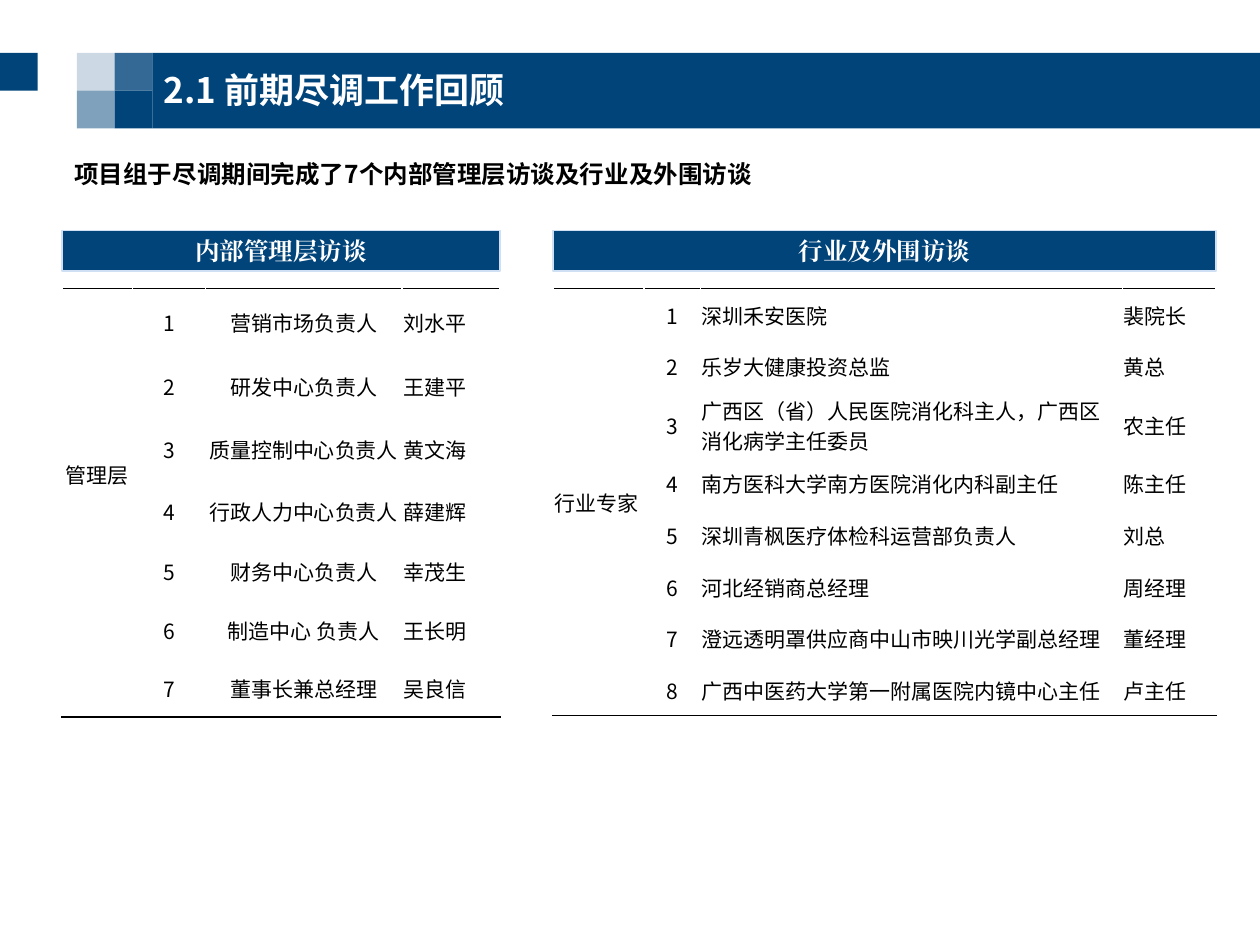
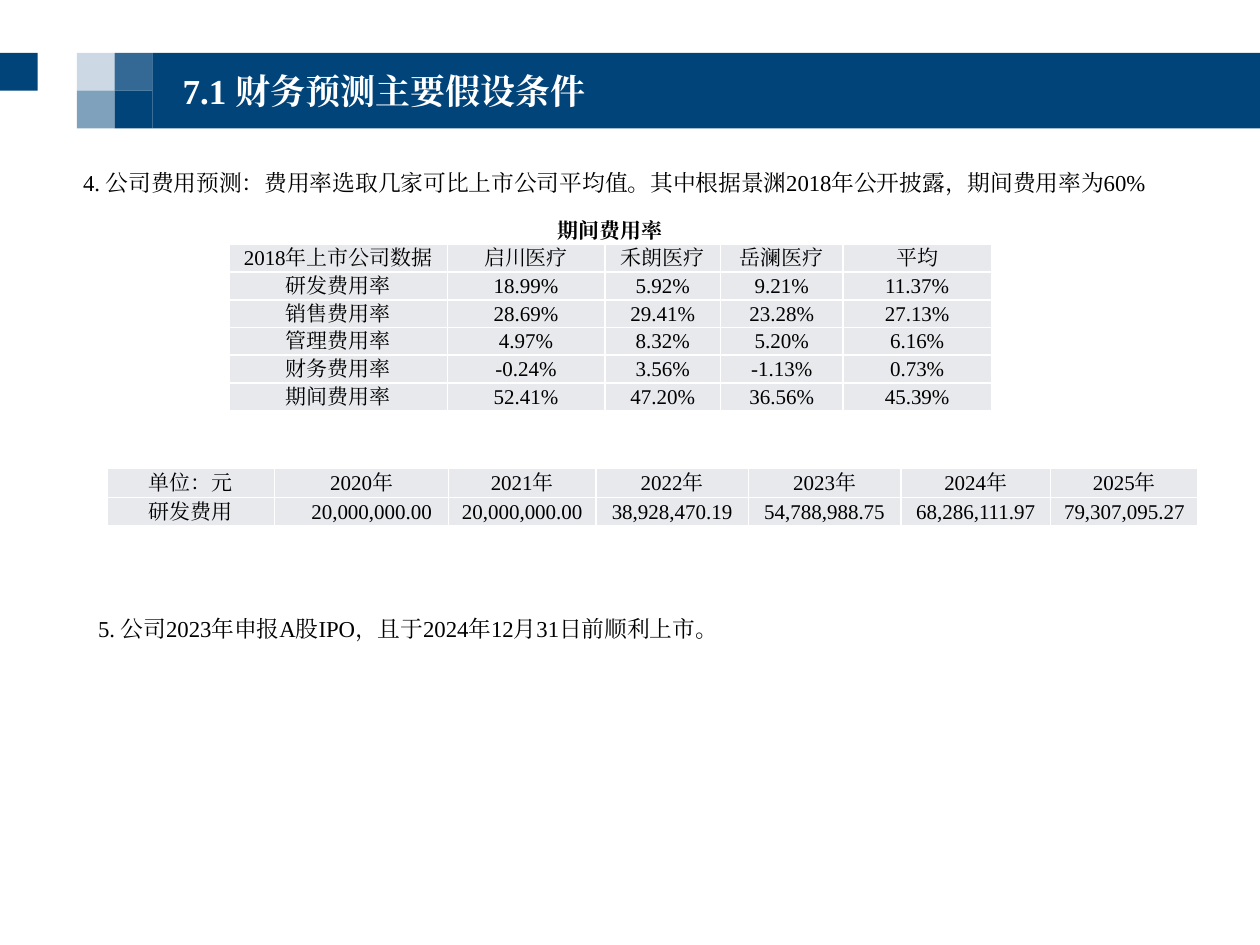
"""Build two due diligence slides: an interview review and forecast assumptions."""
import lxml.etree
import pptx
import pptx.dml.color
import pptx.enum.shapes
import pptx.enum.text
import pptx.oxml.ns
import pptx.util

Inches = pptx.util.Inches
RGBColor = pptx.dml.color.RGBColor
ALIGN = pptx.enum.text.PP_ALIGN
ANCHOR = pptx.enum.text.MSO_ANCHOR
qn = pptx.oxml.ns.qn

NAVY = RGBColor(0x00, 0x44, 0x7A)
PALE_BLUE = RGBColor(0xD0, 0xE0, 0xF4)
GREY = RGBColor(0xE7, 0xE9, 0xEC)
BLACK = RGBColor(0, 0, 0)
WHITE = RGBColor(255, 255, 255)
SANS = "Noto Sans CJK SC"
SERIF = "Times New Roman"

TITLE = {"size": pptx.util.Pt(20), "bold": True}
HEADING = {"size": pptx.util.Pt(14), "bold": True}
NOTE = {"size": pptx.util.Pt(13), "bold": False}
CELL = {"size": pptx.util.Pt(12), "bold": False}
CELL_MARGINS = {"margin_left": Inches(0.01), "margin_right": Inches(0.01),
                "margin_top": Inches(0.01), "margin_bottom": 0,
                "vertical_anchor": ANCHOR.MIDDLE}
ALIGNMENTS = {"l": ALIGN.LEFT, "c": ALIGN.CENTER}

BAND_BLOCKS = [
    (0, 0.42, 0.3, 0.3, 100),
    (0.61, 0.42, 0.3, 0.3, 20),
    (0.61, 0.72, 0.3, 0.3, 50),
    (0.91, 0.42, 0.3, 0.3, 80),
    (0.91, 0.72, 0.3, 0.3, 100),
    (1.21, 0.42, 8.79, 0.6, 100),
]

MANAGERS = [
    ("营销市场负责人", "刘水平"),
    ("研发中心负责人", "王建平"),
    ("质量控制中心负责人", "黄文海"),
    ("行政人力中心负责人", "薛建辉"),
    ("财务中心负责人", "幸茂生"),
    ("制造中心 负责人", "王长明"),
    ("董事长兼总经理", "吴良信"),
]
EXPERTS = [
    ("深圳禾安医院", "裴院长"),
    ("乐岁大健康投资总监", "黄总"),
    ("广西区（省）人民医院消化科主人，广西区消化病学主任委员", "农主任"),
    ("南方医科大学南方医院消化内科副主任", "陈主任"),
    ("深圳青枫医疗体检科运营部负责人", "刘总"),
    ("河北经销商总经理", "周经理"),
    ("澄远透明罩供应商中山市映川光学副总经理", "董经理"),
    ("广西中医药大学第一附属医院内镜中心主任", "卢主任"),
]
EXPENSE_RATES = [
    ("期间费用率", "", "", "", ""),
    ("2018年上市公司数据", "启川医疗", "禾朗医疗", "岳澜医疗", "平均"),
    ("研发费用率", "18.99%", "5.92%", "9.21%", "11.37%"),
    ("销售费用率", "28.69%", "29.41%", "23.28%", "27.13%"),
    ("管理费用率", "4.97%", "8.32%", "5.20%", "6.16%"),
    ("财务费用率", "-0.24%", "3.56%", "-1.13%", "0.73%"),
    ("期间费用率", "52.41%", "47.20%", "36.56%", "45.39%"),
]
RESEARCH_COSTS = [
    ["单位：元"] + [f"{year}年" for year in range(2020, 2026)],
    ["研发费用", "20,000,000.00", "20,000,000.00", "38,928,470.19",
     "54,788,988.75", "68,286,111.97", "79,307,095.27"],
]


def set_values(target, values):
    """Set attributes of an object from a dict."""
    for name, value in values.items():
        setattr(target, name, value)


def place(shape, left, top, width, height):
    """Move and size a shape, in inches."""
    set_values(shape, {"left": Inches(left), "top": Inches(top),
                       "width": Inches(width), "height": Inches(height)})


def write(frame, text, style, font, color=BLACK, align=ALIGN.LEFT):
    """Write one paragraph in one font for Latin and Chinese letters."""
    para = frame.paragraphs[0]
    set_values(para, {"alignment": align, "space_before": 0})
    span = para.add_run()
    span.text = text
    set_values(span.font, {"name": font, **style})
    span.font.color.rgb = color
    east_asian = lxml.etree.SubElement(span.font._element, qn("a:ea"))
    east_asian.set("typeface", font)


def set_frame(frame, side=0.1, edge=0.05):
    """Give a text frame wrapping, top anchoring and margins."""
    set_values(frame, {
        "word_wrap": True, "auto_size": pptx.enum.text.MSO_AUTO_SIZE.NONE,
        "vertical_anchor": ANCHOR.TOP,
        "margin_left": Inches(side), "margin_right": Inches(side),
        "margin_top": Inches(edge), "margin_bottom": Inches(edge)})


def add_block(page, left, top, width, height):
    """Add a navy rectangle without outline or shadow."""
    block = page.shapes.add_shape(
        pptx.enum.shapes.MSO_SHAPE.RECTANGLE,
        Inches(left), Inches(top), Inches(width), Inches(height))
    block.shadow.inherit = False
    block.fill.solid()
    block.fill.fore_color.rgb = NAVY
    block.line.fill.background()
    return block


def add_band_to_layout(page):
    """Build the title band and move it behind everything on the layout."""
    tree = page.slide_layout.shapes._spTree
    for index, (*area, opacity) in enumerate(BAND_BLOCKS):
        block = add_block(page, *area)
        if opacity < 100:
            color = block._element.spPr.find(".//" + qn("a:srgbClr"))
            alpha = lxml.etree.SubElement(color, qn("a:alpha"))
            alpha.set("val", str(opacity * 1000))
        block._element.nvSpPr.cNvPr.set("id", str(100 + index))
        tree.insert(2 + index, block._element)


def add_title(page, text, left, top, font):
    """Fill the title placeholder over the band."""
    title = page.shapes.title
    place(title, left, top, 8.64, 0.43)
    set_frame(title.text_frame, 0.09, 0.04)
    write(title.text_frame, text, TITLE, font, WHITE)


def add_lead(page, text, area, style, font):
    """Fill the body placeholder with one line and no bullet."""
    body = page.placeholders[1]
    place(body, *area)
    set_frame(body.text_frame)
    properties = body.text_frame.paragraphs[0]._p.get_or_add_pPr()
    properties.set("marL", "0")
    properties.set("indent", "0")
    lxml.etree.SubElement(properties, qn("a:buNone"))
    write(body.text_frame, text, style, font)


def add_note(page, text, left, top, width, height):
    """Add a plain text box."""
    box = page.shapes.add_textbox(Inches(left), Inches(top),
                                  Inches(width), Inches(height))
    set_frame(box.text_frame)
    write(box.text_frame, text, NOTE, SERIF)


def add_heading(page, text, left, width):
    """Add a navy heading bar above a table."""
    bar = add_block(page, left, 1.83, width, 0.32)
    bar.line.color.rgb = PALE_BLUE
    bar.line.width = pptx.util.Pt(1)
    set_frame(bar.text_frame)
    bar.text_frame.vertical_anchor = ANCHOR.MIDDLE
    write(bar.text_frame, text, HEADING, SERIF, WHITE, ALIGN.CENTER)


def add_border(cell, side, color):
    """Draw a one point line on one side of a cell."""
    properties = cell._tc.get_or_add_tcPr()
    line = lxml.etree.SubElement(properties, qn(f"a:ln{side}"), w="12700")
    fill = lxml.etree.SubElement(line, qn("a:solidFill"))
    lxml.etree.SubElement(fill, qn("a:srgbClr"), val=str(color))


def add_grid(page, left, top, widths, heights):
    """Add an unstyled table with the given column and row sizes."""
    table = page.shapes.add_table(
        len(heights), len(widths), Inches(left), Inches(top),
        Inches(sum(widths)), Inches(sum(heights))).table
    set_values(table, {"first_row": False, "horz_banding": False})
    for column, width in zip(table.columns, widths):
        column.width = Inches(width)
    for row, height in zip(table.rows, heights):
        row.height = Inches(height)
    return table


def fill_cell(cell, text, style, font, align):
    """Write a cell with narrow margins."""
    set_values(cell, CELL_MARGINS)
    if text:
        write(cell.text_frame, text, style, font, BLACK, align)


def add_interviews(page, group, people, area, widths, heights, span, aligns):
    """Add a numbered list of interviewees between two rules."""
    table = add_grid(page, *area, widths, heights)
    table.cell(0, 0).merge(table.cell(span - 1, 0))
    last = len(people) - 1
    for row, (role, person) in enumerate(people):
        texts = ("" if row else group, str(row + 1), role, person)
        for column, text in enumerate(texts):
            cell = table.cell(row, column)
            fill_cell(cell, text, CELL, SANS, ALIGNMENTS[aligns[column]])
            if row == 0:
                add_border(cell, "T", BLACK)
            if row == last or cell.is_merge_origin and span > last:
                add_border(cell, "B", BLACK)
            cell.fill.background()


def add_figures(page, rows, area, widths, heights, caption=False):
    """Add a grey table with white rules and an optional caption row."""
    table = add_grid(page, *area, widths, heights)
    if caption:
        table.cell(0, 0).merge(table.cell(0, len(widths) - 1))
    for row, texts in enumerate(rows):
        is_caption = caption and row == 0
        for column, text in enumerate(texts):
            cell = table.cell(row, column)
            fill_cell(cell, text, {**CELL, "bold": is_caption}, SERIF,
                      ALIGN.CENTER)
            for side in "LRTB":
                add_border(cell, side, WHITE)
            if is_caption:
                cell.fill.background()
            else:
                cell.fill.solid()
                cell.fill.fore_color.rgb = GREY
    return table


def build_interview_slide(page):
    """Build the review of due diligence interviews."""
    add_title(page, "2.1 前期尽调工作回顾", 1.21, 0.5, SANS)
    add_lead(page, "项目组于尽调期间完成了7个内部管理层访谈及行业及外围访谈",
             (0.49, 1.21, 9.36, 0.34), HEADING, SANS)
    add_heading(page, "内部管理层访谈", 0.49, 3.48)
    add_heading(page, "行业及外围访谈", 4.39, 5.26)
    add_interviews(page, "管理层", MANAGERS, (0.49, 2.29),
                   [0.56, 0.58, 1.56, 0.78],
                   [0.52, 0.5, 0.5, 0.48, 0.48, 0.46, 0.46], 6, "cccl")
    add_interviews(page, "行业专家", EXPERTS, (4.39, 2.29),
                   [0.72, 0.45, 3.35, 0.74],
                   [0.41] * 2 + [0.52] + [0.41] * 5, 8, "lcll")


def build_forecast_slide(page):
    """Build the main assumptions of the forecast."""
    add_title(page, "7.1 财务预测主要假设条件", 1.36, 0.51, SERIF)
    add_lead(page, "4. 公司费用预测：费用率选取几家可比上市公司平均值。"
             "其中根据景渊2018年公开披露，期间费用率为60%",
             (0.56, 1.29, 9, 0.32), NOTE, SERIF)
    add_figures(page, EXPENSE_RATES, (1.82, 1.72),
                [1.73, 1.25, 0.92, 0.97, 1.18], [0.22] * 7, caption=True)
    costs = add_figures(page, RESEARCH_COSTS, (0.85, 3.72),
                        [1.33, 1.38, 1.17, 1.21, 1.21, 1.19, 1.17],
                        [0.23, 0.22])
    costs.cell(1, 1).margin_left = Inches(0.17)
    add_note(page, "5. 公司2023年申报A股IPO，且于2024年12月31日前顺利上市。",
             0.68, 4.83, 8.29, 0.32)


def main():
    """Build and save the deck."""
    deck = pptx.Presentation()
    set_values(deck, {"slide_width": Inches(10), "slide_height": Inches(7.5)})
    layout = deck.slide_layouts[1]
    interviews = deck.slides.add_slide(layout)
    add_band_to_layout(interviews)
    build_interview_slide(interviews)
    build_forecast_slide(deck.slides.add_slide(layout))
    deck.save("out.pptx")


if __name__ == "__main__":
    main()
